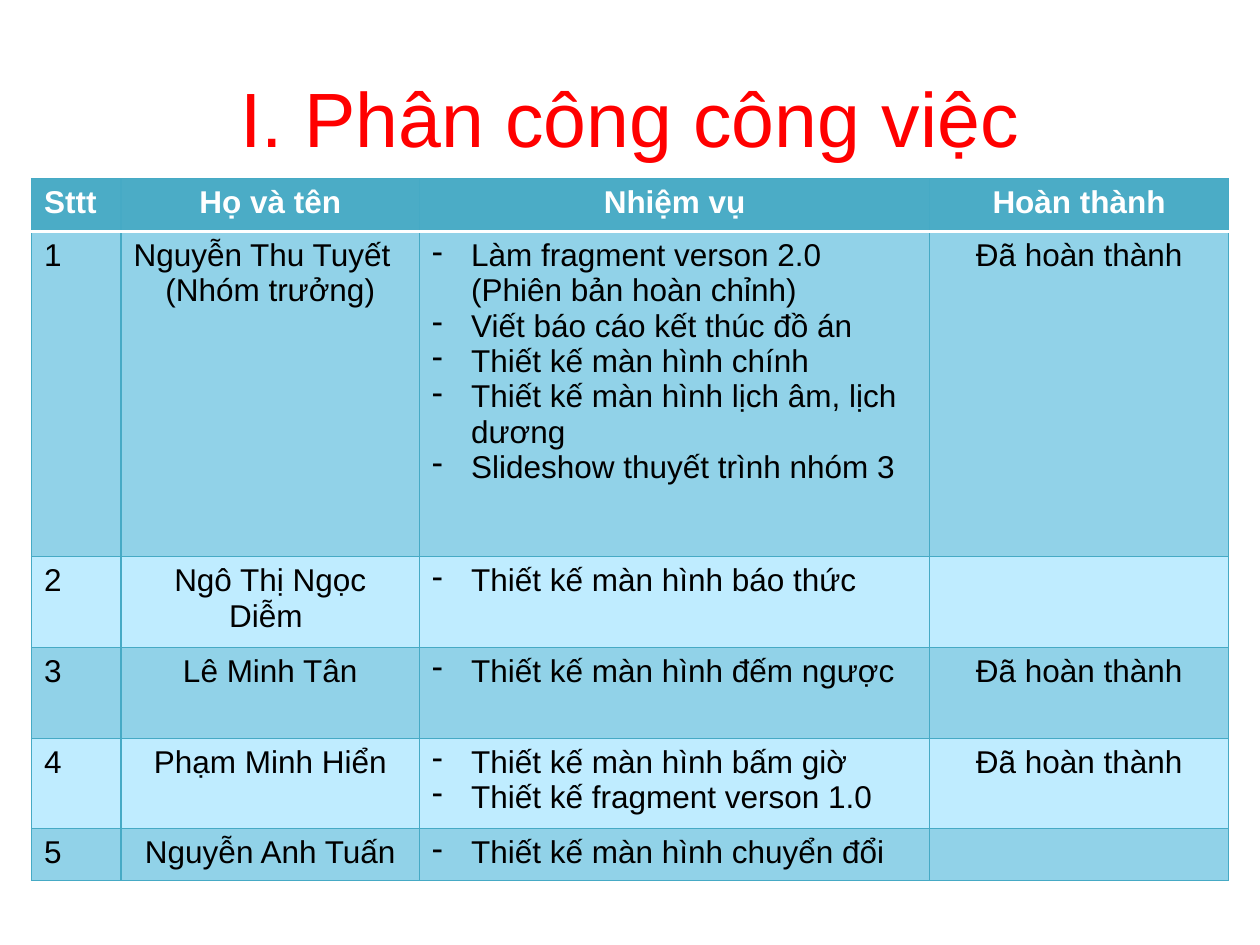
from dataclasses import dataclass

from lxml.etree import SubElement
from pptx import Presentation
from pptx.dml.color import RGBColor
from pptx.enum.text import MSO_ANCHOR, PP_ALIGN
from pptx.oxml.ns import qn
from pptx.util import Inches, Pt


@dataclass(frozen=True)
class Theme:
    """Colours, fonts and sizes of the slide."""
    font: str = "Arial"
    title_size: float = 44
    body_size: float = 18
    title: str = "FF0000"
    text: str = "000000"
    header: str = "4BACC6"
    header_text: str = "FFFFFF"
    bands: tuple = ("91D2E8", "BFECFF")
    border: tuple = ("46AAC5", 0.75)
    header_rule: tuple = ("FFFFFF", 2)


THEME = Theme()
TITLE_BOX = (0.5, 0.3, 9, 1.25)
TABLE_BOX = (0.25, 1.42, 9.5, 5.57)
COLUMN_WIDTHS = (0.71, 2.37, 4.05, 2.37)
ROW_HEIGHTS = (0.42, 2.58, 0.72, 0.72, 0.72, 0.41)
TASK_INDENT = 0.31
TASK_COLUMN = 2
DONE = "Đã hoàn thành"
HEADERS = ("Sttt", "Họ và tên", "Nhiệm vụ", "Hoàn thành")
MEMBERS = (
    (("Nguyễn Thu Tuyết", "(Nhóm trưởng)"),
     ("Làm fragment verson 2.0 (Phiên bản hoàn chỉnh)",
      "Viết báo cáo kết thúc đồ án",
      "Thiết kế màn hình chính",
      "Thiết kế màn hình lịch âm, lịch dương",
      "Slideshow thuyết trình nhóm 3"), DONE),
    (("Ngô Thị Ngọc Diễm ",), ("Thiết kế màn hình báo thức",), ""),
    (("Lê Minh Tân",), ("Thiết kế màn hình đếm ngược",), DONE),
    (("Phạm Minh Hiển",),
     ("Thiết kế màn hình bấm giờ", "Thiết kế fragment verson 1.0"), DONE),
    (("Nguyễn Anh Tuấn",), ("Thiết kế màn hình chuyển đổi",), ""),
)


def format_font(font, size, color, bold=False):
    """Apply the theme font with the given size, colour and weight."""
    values = {"name": THEME.font, "size": Pt(size), "bold": bold}
    for name, value in values.items():
        setattr(font, name, value)
    font.color.rgb = RGBColor.from_string(color)


def add_task_bullet(paragraph):
    """Give a paragraph a dash bullet with a hanging indent."""
    properties = paragraph._p.get_or_add_pPr()
    properties.set("marL", str(Inches(TASK_INDENT)))
    properties.set("indent", str(-Inches(TASK_INDENT)))
    SubElement(properties, qn("a:buFontTx"))
    SubElement(properties, qn("a:buChar"), char="-")


def set_borders(cell, **special):
    """Draw four cell borders, with special lines given by side."""
    properties = cell._tc.get_or_add_tcPr()
    for position, side in enumerate("LRTB"):
        color, width = special.get(side, THEME.border)
        line = SubElement(properties, qn(f"a:ln{side}"), w=str(Pt(width)))
        fill = SubElement(line, qn("a:solidFill"))
        SubElement(fill, qn("a:srgbClr"), val=color)
        properties.insert(position, line)


def fill_cell(cell, lines, row, column):
    """Write and format one table cell according to its place."""
    is_header = row == 0
    fill_color = THEME.header if is_header else THEME.bands[(row - 1) % 2]
    text_color = THEME.header_text if is_header else THEME.text
    cell.fill.solid()
    cell.fill.fore_color.rgb = RGBColor.from_string(fill_color)
    rule_side = {0: "B", 1: "T"}.get(row)
    set_borders(cell, **({rule_side: THEME.header_rule} if rule_side else {}))
    cell.text_frame.text = "\n".join(lines)
    for index, paragraph in enumerate(cell.text_frame.paragraphs):
        format_font(paragraph.font, THEME.body_size, text_color, is_header)
        for run in paragraph.runs:
            format_font(run.font, THEME.body_size, text_color, is_header)
        is_leader_name = row == 1 and column == 1 and index == 0
        if column == TASK_COLUMN and not is_header:
            add_task_bullet(paragraph)
        elif column > 0 and not is_leader_name:
            paragraph.alignment = PP_ALIGN.CENTER


def place_title(slide, box):
    """Move and format the title placeholder."""
    title = slide.shapes.title
    for name, value in zip(("left", "top", "width", "height"), box):
        setattr(title, name, Inches(value))
    frame = title.text_frame
    frame.text = "I. Phân công công việc"
    frame.vertical_anchor = MSO_ANCHOR.MIDDLE
    paragraph = frame.paragraphs[0]
    paragraph.alignment = PP_ALIGN.CENTER
    format_font(paragraph.runs[0].font, THEME.title_size, THEME.title)


def place_assignments(slide, box):
    """Add the table of members, tasks and progress."""
    rows = [[(header,) for header in HEADERS]]
    for number, (names, tasks, status) in enumerate(MEMBERS, start=1):
        rows.append([(str(number),), names, tasks, (status,)])
    table = slide.shapes.add_table(
        len(rows), len(HEADERS), *map(Inches, box)).table
    for column, width in zip(table.columns, COLUMN_WIDTHS):
        column.width = Inches(width)
    for row, height in zip(table.rows, ROW_HEIGHTS):
        row.height = Inches(height)
    for row_index, row in enumerate(rows):
        for column_index, lines in enumerate(row):
            fill_cell(table.cell(row_index, column_index), lines,
                      row_index, column_index)


def main():
    """Build and save the presentation."""
    presentation = Presentation()
    presentation.slide_width = Inches(10)
    presentation.slide_height = Inches(7.5)
    slide = presentation.slides.add_slide(presentation.slide_layouts[5])
    place_title(slide, TITLE_BOX)
    place_assignments(slide, TABLE_BOX)
    presentation.save("out.pptx")


if __name__ == "__main__":
    main()
